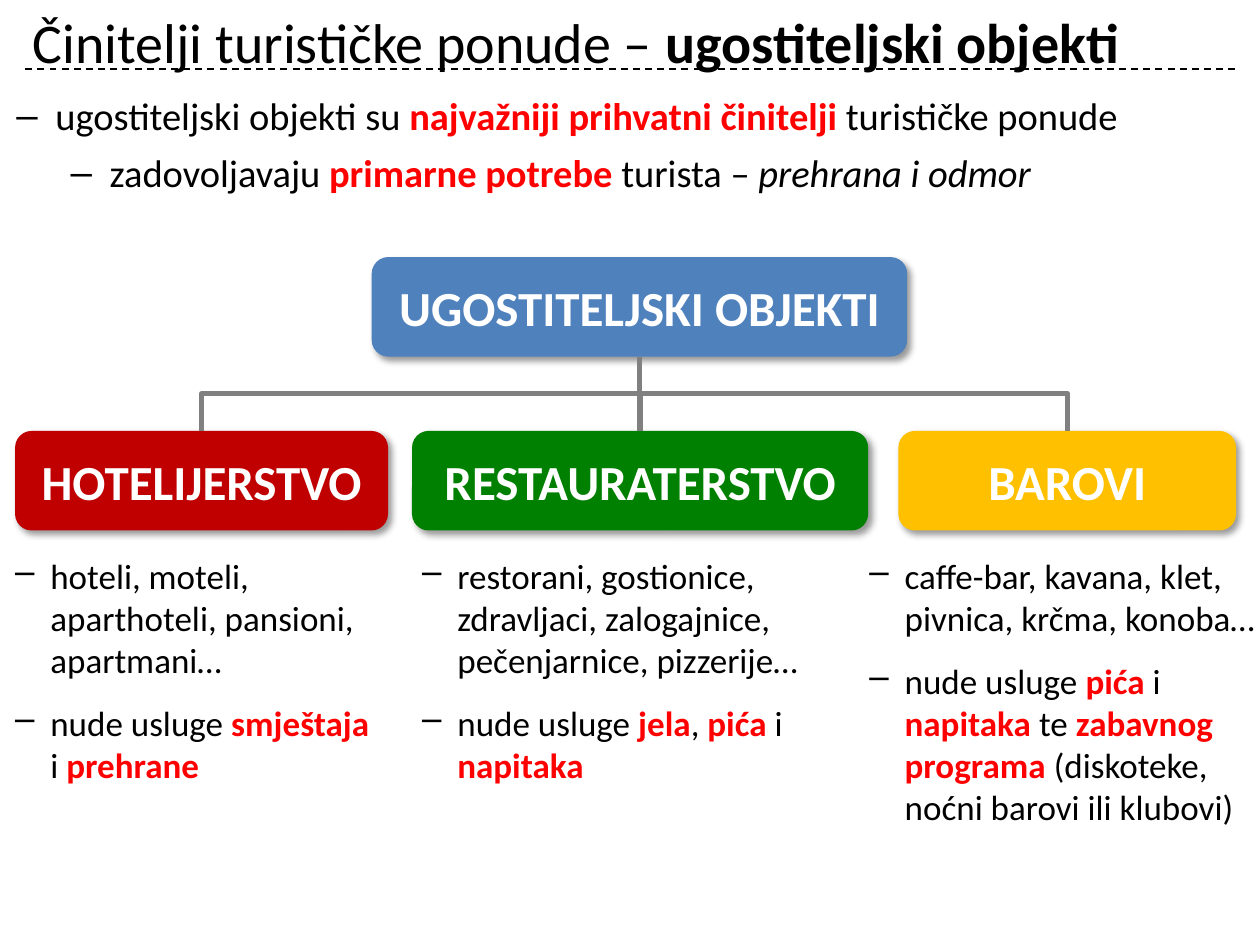
import pptx
import pptx.util
import pptx.dml.color
import pptx.enum.dml
import pptx.enum.shapes
import pptx.enum.text
import pptx.oxml
import pptx.oxml.ns

Inches = pptx.util.Inches
Pt = pptx.util.Pt
RGBColor = pptx.dml.color.RGBColor

BLACK = RGBColor(0x00, 0x00, 0x00)
WHITE = RGBColor(0xFF, 0xFF, 0xFF)
RED = RGBColor(0xFF, 0x00, 0x00)
BLUE = RGBColor(0x4F, 0x81, 0xBD)
CRIMSON = RGBColor(0xC0, 0x00, 0x00)
GREEN = RGBColor(0x00, 0x80, 0x00)
AMBER = RGBColor(0xFF, 0xC0, 0x00)
GREY = RGBColor(0x80, 0x80, 0x80)

FONT = "Calibri"
BOX_HEIGHT = 0.79
BRANCH_TOP = 3.42
LIST_TOP = 4.4

# Branch: label, colour, box left and width, list left, width and height, items
BRANCHES = [
    ("HOTELIJERSTVO", CRIMSON, 0.12, 2.96, 0.12, 2.9, 1.85,
     ["hoteli, moteli, aparthoteli, pansioni, apartmani…",
      "nude usluge *smještaja *i *prehrane*"]),
    ("RESTAURATERSTVO", GREEN, 3.27, 3.62, 3.35, 3.31, 1.85,
     ["restorani, gostionice, zdravljaci, zalogajnice, pečenjarnice, pizzerije…",
      "nude usluge *jela*, *pića* i *napitaka*"]),
    ("BAROVI", AMBER, 7.13, 2.68, 6.9, 3.12, 2.27,
     ["caffe-bar, kavana, klet, pivnica, krčma, konoba…",
      "nude usluge *pića *i *napitaka *te *zabavnog programa *"
      "(diskoteke, noćni barovi ili klubovi)"]),
]


def place(shape, left, top, width, height):
    shape.left, shape.top = Inches(left), Inches(top)
    shape.width, shape.height = Inches(width), Inches(height)


def write_runs(paragraph, marked_text, size, key_color=RED):
    """Write text in which the parts between asterisks are key words."""
    for number, part in enumerate(marked_text.split("*")):
        if not part:
            continue
        run = paragraph.add_run()
        run.text = part
        is_key = number % 2 == 1
        run.font.name = FONT
        run.font.size = Pt(size)
        run.font.bold = is_key
        run.font.color.rgb = key_color if is_key else BLACK


def set_dash_bullet(paragraph, text_indent, hanging):
    properties = paragraph._p.get_or_add_pPr()
    properties.set("marL", str(Inches(text_indent)))
    properties.set("indent", str(-Inches(hanging)))
    bullet = pptx.oxml.ns.qn("a:buChar")
    properties.append(properties.makeelement(bullet, {"char": "–"}))


def add_title(slide):
    title = slide.shapes.title
    place(title, 0.16, -0.02, 9.69, 0.7)
    title.text_frame.vertical_anchor = pptx.enum.text.MSO_ANCHOR.MIDDLE
    paragraph = title.text_frame.paragraphs[0]
    paragraph.alignment = pptx.enum.text.PP_ALIGN.LEFT
    write_runs(paragraph, "Činitelji turističke ponude – *ugostiteljski objekti*",
               32, BLACK)


def add_intro(slide):
    intro = slide.placeholders[1]
    place(intro, -0.04, 0.68, 10, 6.46)
    main_point = intro.text_frame.paragraphs[0]
    set_dash_bullet(main_point, 0.38, 0.31)
    main_point.space_before = Pt(0)
    write_runs(main_point, "ugostiteljski objekti su *najvažniji prihvatni činitelji "
               "*turističke ponude", 22)

    sub_point = intro.text_frame.add_paragraph()
    sub_point.level = 1
    set_dash_bullet(sub_point, 0.81, 0.31)
    sub_point.space_before = Pt(6)
    write_runs(sub_point, "zadovoljavaju *primarne potrebe *turista – ", 22)
    write_runs(sub_point, "prehrana i odmor", 22)
    sub_point.runs[-1].font.italic = True


def add_line(slide, kind, start, end, color, width):
    line = slide.shapes.add_connector(kind, *map(Inches, start + end))
    line.line.color.rgb = color
    line.line.width = Pt(width)
    properties = line._element.spPr
    properties.append(properties.makeelement(pptx.oxml.ns.qn("a:effectLst"), {}))
    return line


def add_title_rule(slide):
    rule = add_line(slide, pptx.enum.shapes.MSO_CONNECTOR.STRAIGHT,
                    (0.2, 0.55), (9.8, 0.55), BLACK, 1)
    rule.line.dash_style = pptx.enum.dml.MSO_LINE.DASH
    slide.shapes._spTree.insert(2, rule._element)  # behind the title


def add_box(slide, label, color, left, top, width):
    box = slide.shapes.add_shape(
        pptx.enum.shapes.MSO_SHAPE.ROUNDED_RECTANGLE,
        Inches(left), Inches(top), Inches(width), Inches(BOX_HEIGHT))
    box.fill.solid()
    box.fill.fore_color.rgb = color
    box.line.fill.background()

    # Soft shadow to the lower right
    box.shadow.inherit = False
    effects = box._element.spPr.find(pptx.oxml.ns.qn("a:effectLst"))
    effects.append(pptx.oxml.parse_xml(
        f'<a:outerShdw {pptx.oxml.ns.nsdecls("a")} blurRad="{Pt(4)}" '
        f'dist="{Pt(3)}" dir="2700000" algn="tl" rotWithShape="0">'
        '<a:srgbClr val="000000"><a:alpha val="40000"/></a:srgbClr>'
        '</a:outerShdw>'))

    box.text_frame.text = label
    box.text_frame.vertical_anchor = pptx.enum.text.MSO_ANCHOR.MIDDLE
    paragraph = box.text_frame.paragraphs[0]
    paragraph.alignment = pptx.enum.text.PP_ALIGN.CENTER
    font = paragraph.runs[0].font
    font.name, font.size, font.bold = FONT, Pt(28), True
    font.color.rgb = WHITE
    return box


def add_branch_line(slide, root, branch):
    """Join the root's bottom to the branch's top with a vertical elbow."""
    link = add_line(slide, pptx.enum.shapes.MSO_CONNECTOR.ELBOW,
                    (0, 0), (1, 1), GREY, 3)
    link.begin_connect(root, 2)
    link.end_connect(branch, 0)
    start_x, start_y = root.left + root.width // 2, root.top + root.height
    end_x, end_y = branch.left + branch.width // 2, branch.top
    drop, spread = end_y - start_y, abs(end_x - start_x)

    # The elbow runs sideways by default, so its frame is turned upright
    link.left = (start_x + end_x - drop) // 2
    link.top = (start_y + end_y - spread) // 2
    link.width, link.height = drop, spread
    frame = link._element.spPr.find(pptx.oxml.ns.qn("a:xfrm"))
    goes_right = end_x > start_x
    frame.set("rot", str((270 if goes_right else 90) * 60000))
    frame.set("flipH", "1" if goes_right else "0")
    frame.set("flipV", "0")


def add_branch_list(slide, items, left, width, height):
    box = slide.shapes.add_textbox(Inches(left), Inches(LIST_TOP),
                                   Inches(width), Inches(height))
    frame = box.text_frame
    frame.word_wrap = True
    frame.auto_size = pptx.enum.text.MSO_AUTO_SIZE.SHAPE_TO_FIT_TEXT
    frame.margin_left = frame.margin_right = 0
    frame.margin_top = frame.margin_bottom = 0
    for number, item in enumerate(items):
        paragraph = frame.add_paragraph() if number else frame.paragraphs[0]
        set_dash_bullet(paragraph, 0.28, 0.28)
        paragraph.space_before = Pt(12 if number else 0)
        write_runs(paragraph, item, 20)


def main():
    presentation = pptx.Presentation()
    presentation.slide_width, presentation.slide_height = Inches(10), Inches(7.5)
    slide = presentation.slides.add_slide(presentation.slide_layouts[1])

    # Heading and introduction
    add_title(slide)
    add_intro(slide)
    add_title_rule(slide)

    # Tree of facilities
    root = add_box(slide, "UGOSTITELJSKI OBJEKTI", BLUE, 2.95, 2.04, 4.25)
    branches = [add_box(slide, label, color, left, BRANCH_TOP, width)
                for label, color, left, width, *_ in BRANCHES]
    for branch in branches:
        add_branch_line(slide, root, branch)

    # List under each branch
    for *_, left, width, height, items in BRANCHES:
        add_branch_list(slide, items, left, width, height)

    presentation.save("out.pptx")


if __name__ == "__main__":
    main()
